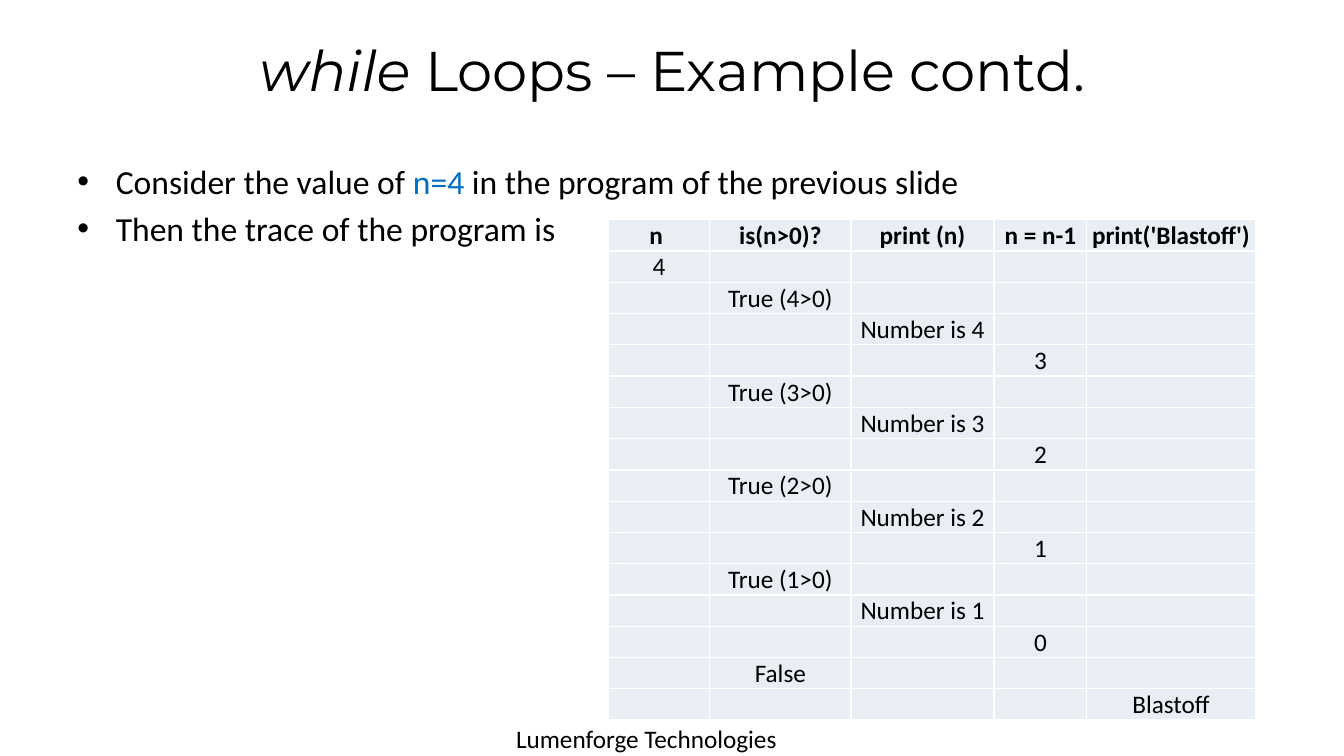
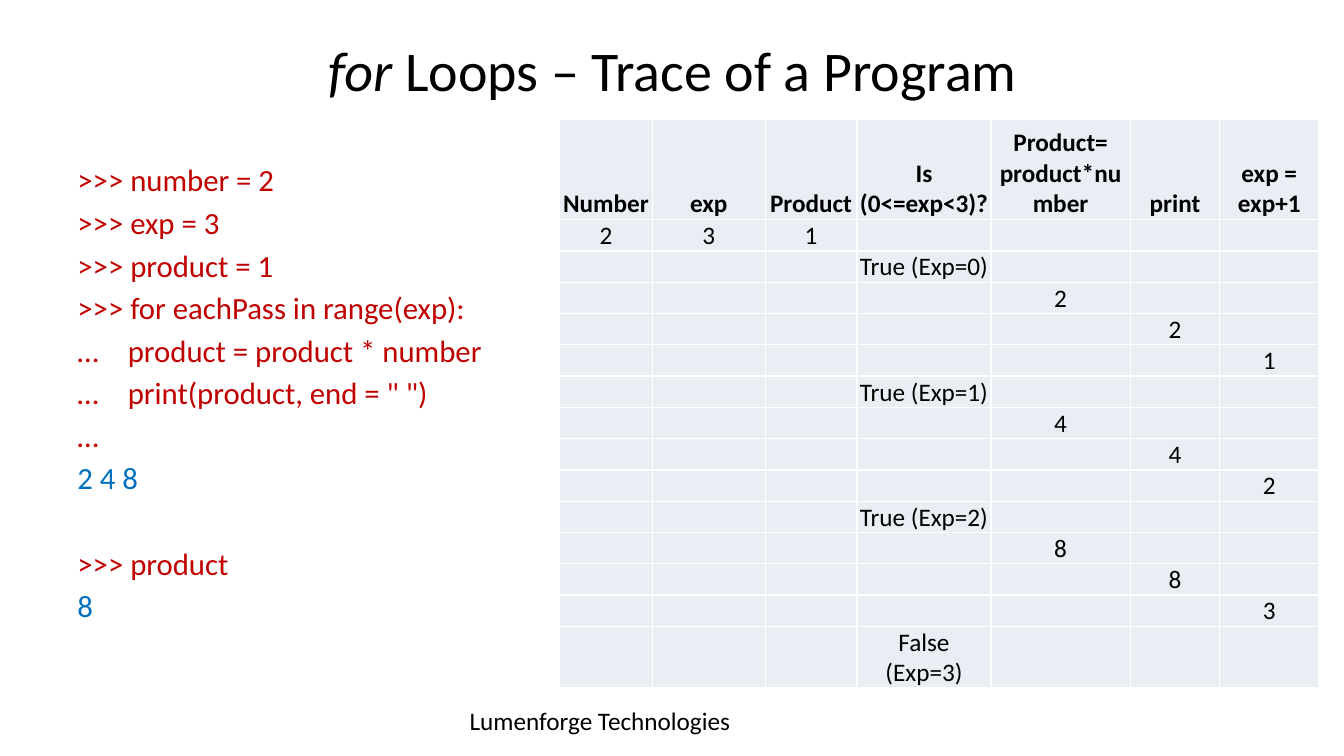
from dataclasses import dataclass

from lxml.etree import SubElement
from pptx import Presentation
from pptx.dml.color import RGBColor
from pptx.enum.text import MSO_ANCHOR, PP_ALIGN
from pptx.oxml.ns import qn
from pptx.util import Emu, Pt

PX = 9144


def px(n):
    """Turn whole pixels, 100 to the inch, into EMU."""
    return Emu(n * PX)


@dataclass(frozen=True)
class Theme:
    """Colours, fonts and type sizes of the deck."""
    ink: str = "000000"
    blue: str = "0070C0"
    red: str = "C00000"
    cell: str = "E9EDF4"
    rule: str = "FFFFFF"
    font: str = "Calibri"
    display: str = "Montserrat"
    title: int = 40
    bullet: int = 24
    code: int = 22
    small: int = 18
    lead: float = 0.18
    line: float = 1.22


class Deck:
    """Holds the theme, the presentation and the current slide."""

    def __init__(self, theme):
        """Start an empty widescreen presentation."""
        self.t = theme
        self.prs = Presentation()
        self.prs.slide_width, self.prs.slide_height = px(1333), px(750)
        self.s = None

    def slide(self):
        """Add a blank slide and make it current."""
        self.s = self.prs.slides.add_slide(self.prs.slide_layouts[6])

    def run(self, p, text, size, color=None, font=None, bold=False, italic=False):
        """Add one styled run to a paragraph."""
        r = p.add_run()
        r.text = text
        r.font.size, r.font.name = Pt(size), font or self.t.font
        r.font.bold, r.font.italic = bold, italic
        r.font.color.rgb = RGBColor.from_string(color or self.t.ink)

    def box(self, x, y, w, h):
        """Add a wrapping text box and return its text frame."""
        tf = self.s.shapes.add_textbox(px(x), px(y), px(w), px(h)).text_frame
        tf.word_wrap = True
        return tf

    def title(self, keyword, rest, font=None):
        """Add a centred title that opens with an italic keyword."""
        p = self.box(67, 30, 1200, 125).paragraphs[0]
        p.alignment = PP_ALIGN.CENTER
        self.run(p, keyword, self.t.title, font=font, italic=True)
        self.run(p, rest, self.t.title, font=font)

    def footer(self, x, y):
        """Add the company line."""
        p = self.box(x, y, 422, 40).paragraphs[0]
        self.run(p, "Lumenforge Technologies", self.t.small)

    def body(self, width, size, lines):
        """Add justified lines and return their paragraphs."""
        tf = self.box(67, 155, width, 515)
        for i, runs in enumerate(lines):
            p = tf.add_paragraph() if i else tf.paragraphs[0]
            p.alignment = PP_ALIGN.JUSTIFY
            p.space_before = Pt(size * self.t.lead if i else 0)
            for text, color in runs:
                self.run(p, text, size, color)
        return tf.paragraphs

    def bullets(self, lines):
        """Add a bulleted list with hanging indents."""
        for p in self.body(1200, self.t.bullet, lines):
            pPr = p._p.get_or_add_pPr()
            pPr.set("marL", str(px(38)))
            pPr.set("indent", str(-px(38)))
            SubElement(pPr, qn("a:buFont"), typeface="Arial")
            SubElement(pPr, qn("a:buChar"), char="•")

    def code(self, lines, gap_before):
        """Add a code session with a one-line gap before one of its lines."""
        size = self.t.code
        ps = self.body(586, size, [[line] for line in lines])
        ps[gap_before].space_before = Pt(size * (2 * self.t.lead + self.t.line))

    def cell(self, cell, text, bold):
        """Fill, rule and write one table cell."""
        cell.margin_left = cell.margin_right = cell.margin_top = px(1)
        cell.margin_bottom = 0
        cell.vertical_anchor = MSO_ANCHOR.BOTTOM
        tcPr = cell._tc.get_or_add_tcPr()
        for side in ("lnL", "lnR", "lnT", "lnB"):
            ln = SubElement(tcPr, qn(f"a:{side}"), w=str(Pt(1)))
            SubElement(SubElement(ln, qn("a:solidFill")), qn("a:srgbClr"), val=self.t.rule)
        cell.fill.solid()
        cell.fill.fore_color.rgb = RGBColor.from_string(self.t.cell)
        if text:
            p = cell.text_frame.paragraphs[0]
            p.alignment = PP_ALIGN.CENTER
            self.run(p, text, self.t.small, bold=bold)

    def trace(self, x, y, widths, head_h, heads, steps):
        """Add a trace table; each step maps columns to values."""
        rows = [dict(enumerate(heads)), *steps]
        heights = [head_h] + [31] * len(steps)
        tbl = self.s.shapes.add_table(
            len(rows), len(widths), px(x), px(y), px(sum(widths)), px(sum(heights))).table
        tbl.first_row = tbl.horz_banding = False
        for col, w in zip(tbl.columns, widths):
            col.width = px(w)
        for i, values in enumerate(rows):
            tbl.rows[i].height = px(heights[i])
            for j in range(len(widths)):
                self.cell(tbl.cell(i, j), values.get(j), bold=i == 0)


def while_slide(d):
    """Build the trace of the while loop."""
    d.slide()
    d.title("while", " Loops – Example contd.", d.t.display)
    d.bullets([
        [("Consider the value of ", d.t.ink), ("n=4", d.t.blue),
         (" in the program of the previous slide", d.t.ink)],
        [("Then the trace of the program is", d.t.ink)],
    ])
    steps = [{0: "4"}]
    for n in range(4, 0, -1):
        steps += [{1: f"True ({n}>0)"}, {2: f"Number is {n}"}, {3: str(n - 1)}]
    steps += [{1: "False"}, {4: "Blastoff"}]
    d.trace(603, 218, [101, 140, 142, 92, 167], 31,
            ["n ", "is(n>0)?", "print (n)", "n = n-1", "print('Blastoff')"], steps)
    d.footer(502, 713)


def for_slide(d):
    """Build the trace of the for loop."""
    red, blue = d.t.red, d.t.blue
    d.slide()
    d.title("for", " Loops – Trace of a Program")
    d.code([
        (">>> number = 2", red),
        (">>> exp = 3", red),
        (">>> product = 1", red),
        (">>> for eachPass in range(exp):", red),
        ("…\tproduct = product * number", red),
        ("…\tprint(product, end = \" \")", red),
        ("…", red),
        ("2 4 8", blue),
        (">>> product", red),
        ("8", blue),
    ], gap_before=8)
    steps = [{0: "2", 1: "3", 2: "1"}]
    for e in range(3):
        product = str(2 ** (e + 1))
        steps += [{3: f"True (Exp={e})"}, {4: product}, {5: product}, {6: str(e + 1)}]
    steps.append({3: "False (Exp=3)"})
    d.trace(555, 118, [92, 112, 91, 133, 138, 89, 98], 100,
            ["Number", "exp", "Product", "Is (0<=exp<3)?",
             "Product= product*number", "print", "exp = exp+1"], steps)
    d.footer(456, 695)


def main():
    """Build and save the deck."""
    d = Deck(Theme())
    while_slide(d)
    for_slide(d)
    d.prs.save("out.pptx")


if __name__ == "__main__":
    main()
